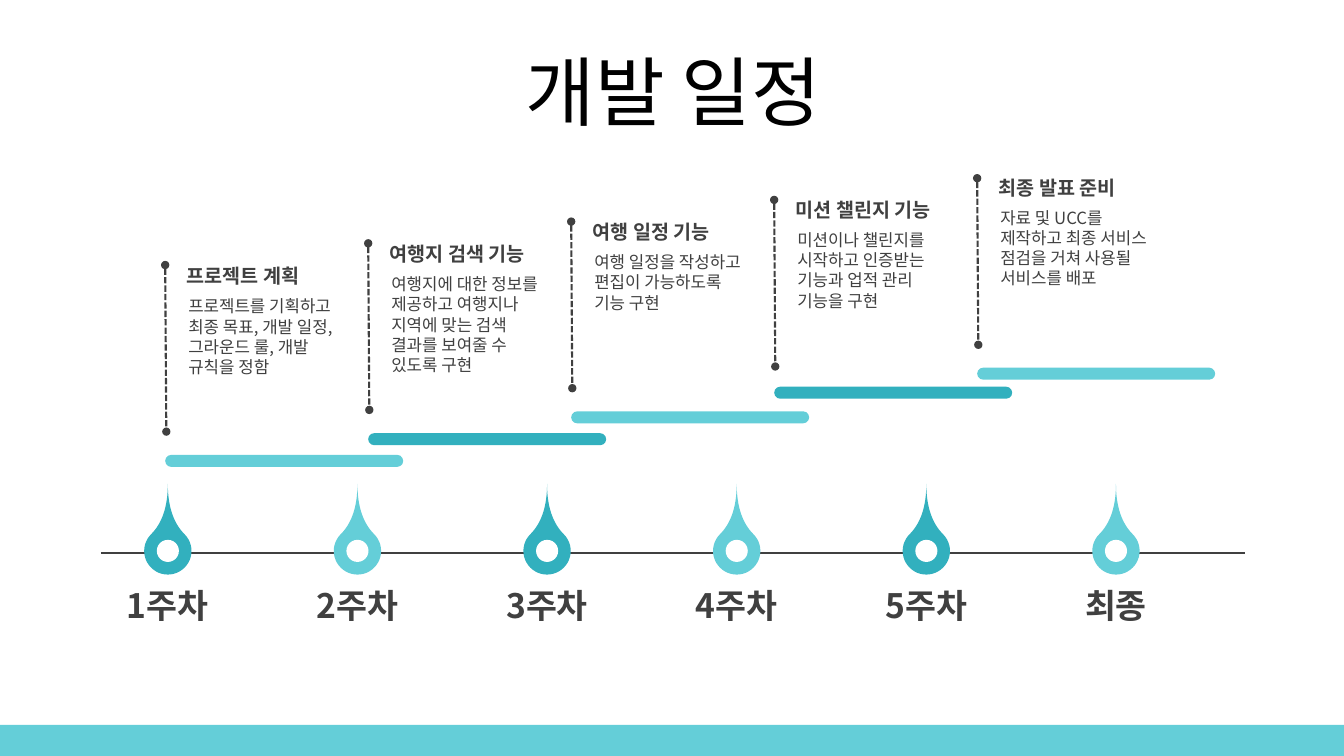
import pptx
import pptx.util
import pptx.dml.color
import pptx.enum.dml
import pptx.enum.shapes
import pptx.enum.text
import pptx.oxml
import pptx.oxml.ns
import lxml.etree

Pt = pptx.util.Pt
SHAPES = pptx.enum.shapes.MSO_SHAPE
ALIGN = pptx.enum.text.PP_ALIGN
ANCHOR = pptx.enum.text.MSO_ANCHOR

FONT = "Noto Sans CJK KR"
LIGHT, DARK, INK, WHITE, BLACK = "64CED8", "32B0BE", "404040", "FFFFFF", "000000"

WEEKS = ["1주차", "2주차", "3주차", "4주차", "5주차", "최종"]
WEEK_LEFT, WEEK_STEP, WEEK_MIDDLE = 119.9, 135.45, 393.5

# heading, description, top of the bar
TASKS = [
    ("프로젝트 계획",
     "프로젝트를 기획하고\n최종 목표, 개발 일정, 그라운드 룰, 개발 규칙을 정함", 324.9),
    ("여행지 검색 기능",
     "여행지에 대한 정보를 제공하고 여행지나 지역에 맞는 검색 결과를 보여줄 수 있도록 구현", 309.4),
    ("여행 일정 기능",
     "여행 일정을 작성하고 편집이 가능하도록 기능 구현", 293.8),
    ("미션 챌린지 기능",
     "미션이나 챌린지를 시작하고 인증받는 기능과 업적 관리 기능을 구현", 276.2),
    ("최종 발표 준비",
     "자료 및 UCC를 제작하고 최종 서비스 점검을 거쳐 사용될 서비스를 배포", 262.6),
]
TASK_LEFT, TASK_STEP = 118, 145
TEXT_RISE, DASH_RISE = 15.8, 15.5


def color(value):
    return pptx.dml.color.RGBColor.from_string(value)


def add_filled(page, kind, left, top, width, height, fill, adjustment=None):
    shape = page.shapes.add_shape(kind, Pt(left), Pt(top), Pt(width), Pt(height))
    shape.shadow.inherit = False
    shape.fill.solid()
    shape.fill.fore_color.rgb = color(fill)
    shape.line.fill.background()
    if adjustment is not None:
        shape.adjustments[0] = adjustment
    return shape


def add_text(page, text, left, top, width, height, size, fill=INK, bold=False,
             margins=(7.2, 3.6), frame_format=None, para_format=None):
    """Margins are the horizontal and the vertical inset."""
    box = page.shapes.add_textbox(Pt(left), Pt(top), Pt(width), Pt(height))
    across, down = margins
    frame_values = {
        "word_wrap": True,
        "margin_left": Pt(across), "margin_right": Pt(across),
        "margin_top": Pt(down), "margin_bottom": Pt(down),
        **(frame_format or {}),
    }
    for name, value in frame_values.items():
        setattr(box.text_frame, name, value)
    para = box.text_frame.paragraphs[0]
    para.text = text
    for name, value in (para_format or {}).items():
        setattr(para, name, value)
    for span in para.runs:
        for name, value in {"name": FONT, "size": Pt(size), "bold": bold}.items():
            setattr(span.font, name, value)
        span.font.color.rgb = color(fill)
        east_asian = lxml.etree.SubElement(
            span.font._element, pptx.oxml.ns.qn("a:ea"))
        east_asian.set("typeface", FONT)


def add_line(page, start, end, width, dotted=False):
    """A dotted line is dashed and has a round dot at both ends."""
    line = page.shapes.add_connector(
        pptx.enum.shapes.MSO_CONNECTOR.STRAIGHT,
        *(Pt(value) for value in (*start, *end)))
    line.line.width = Pt(width)
    line.line.color.rgb = color(INK)
    if dotted:
        line.line.dash_style = pptx.enum.dml.MSO_LINE.SQUARE_DOT
        outline = line.line._get_or_add_ln()
        for tag in ("a:headEnd", "a:tailEnd"):
            end_mark = lxml.etree.SubElement(outline, pptx.oxml.ns.qn(tag))
            end_mark.set("type", "oval")
    lxml.etree.SubElement(line._element.spPr, pptx.oxml.ns.qn("a:effectLst"))


def add_week(page, index, label):
    center = WEEK_LEFT + index * WEEK_STEP
    drop, hole = 33.8, 15.8
    pin = add_filled(page, SHAPES.TEAR, center - drop / 2, WEEK_MIDDLE - drop / 2,
                     drop, drop, LIGHT if index % 2 else DARK, 2)
    pin.rotation = 315
    add_filled(page, SHAPES.OVAL, center - hole / 2, WEEK_MIDDLE - hole / 2,
               hole, hole, WHITE)
    add_text(page, label, center - 43.2, 417.6, 86.4, 28.8, 24, bold=True,
             margins=(0, 0), para_format={"alignment": ALIGN.CENTER})


def add_task(page, index, heading, description, bar_top):
    left = TASK_LEFT + index * TASK_STEP
    text_rise = index * TEXT_RISE
    dash_top = 189.3 - index * DASH_RISE
    add_filled(page, SHAPES.ROUNDED_RECTANGLE, left, bar_top, 170, 8.6,
               DARK if index % 2 else LIGHT, 0.5)
    add_text(page, description, left + 9.4, 208 - text_rise, 123.8, 65.5, 12)
    add_text(page, heading, left + 6.8, 185 - text_rise, 124.6, 24.5, 14,
             bold=True, margins=(8.6, 3.6))
    add_line(page, (left, dash_top), (left + 0.8, dash_top + 119), 1.5, dotted=True)


def main():
    deck = pptx.Presentation()
    deck.slide_width, deck.slide_height = Pt(960), Pt(540)
    page = deck.slides.add_slide(deck.slide_layouts[6])
    add_filled(page, SHAPES.RECTANGLE, 0, 517.7, 960, 22.3, LIGHT)
    add_line(page, (72, 395), (889.5, 395), 1.75)
    for index, label in enumerate(WEEKS):
        add_week(page, index, label)
    for index, task in enumerate(TASKS):
        add_task(page, index, *task)
    add_text(page, "개발 일정", 25.2, 40.3, 911.5, 56.9, 54, BLACK,
             frame_format={"vertical_anchor": ANCHOR.MIDDLE},
             para_format={"alignment": ALIGN.CENTER, "line_spacing": 0.9,
                          "space_before": Pt(10)})
    deck.save("out.pptx")


if __name__ == "__main__":
    main()
